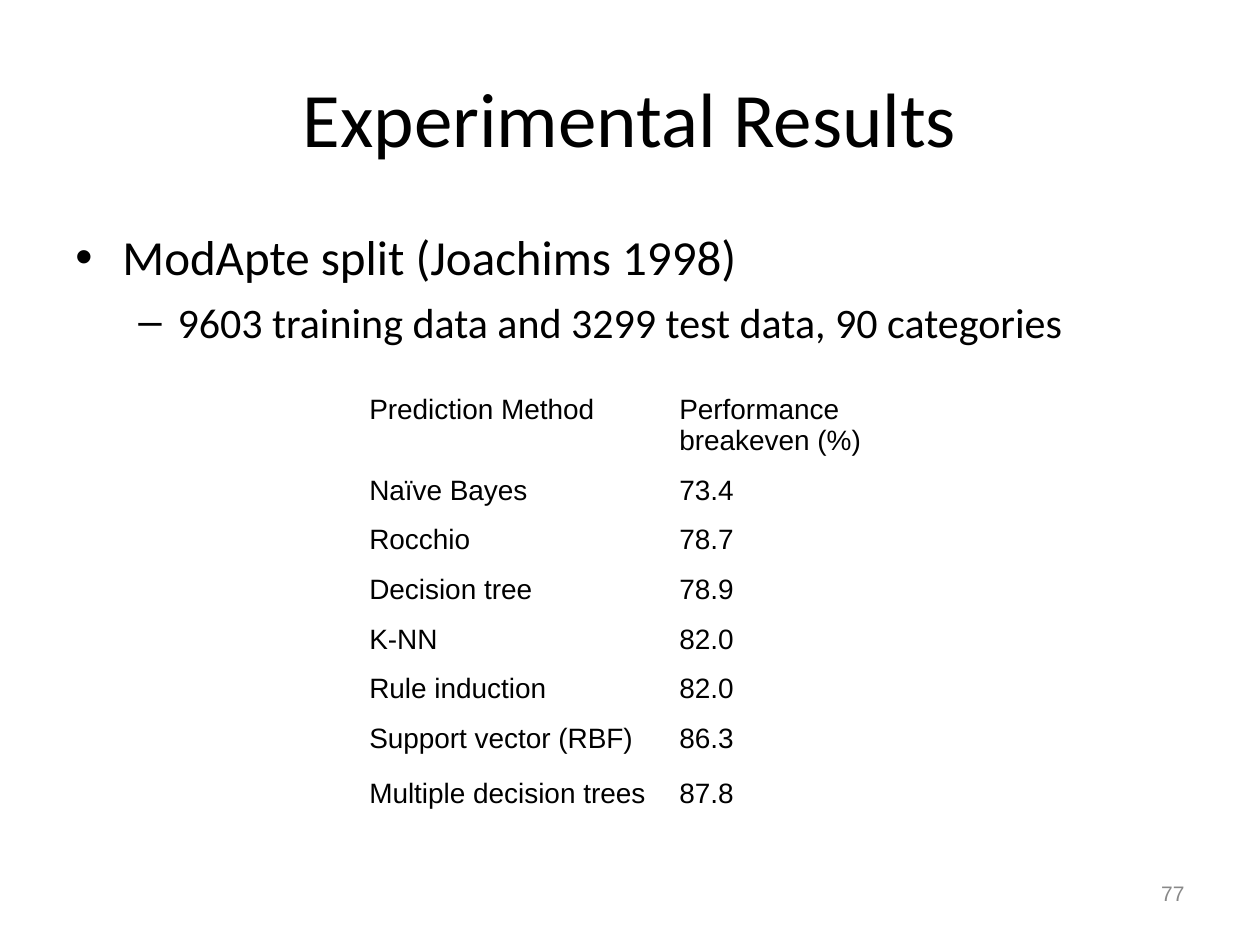
from lxml import etree
from pptx import Presentation
from pptx.dml.color import RGBColor
from pptx.enum import text
from pptx.oxml import ns
from pptx.util import Cm, Pt

BLACK = RGBColor(0x00, 0x00, 0x00)
GRAY = RGBColor(0x89, 0x89, 0x89)

TITLE_FONT = {"name": "Calibri", "size": Pt(44)}
BULLET_FONTS = [
    {"name": "Calibri", "size": Pt(28)},
    {"name": "Calibri", "size": Pt(24)},
]
TABLE_FONT = {"name": "Arial", "size": Pt(16)}
NUMBER_FONT = {"name": "Arial", "size": Pt(12)}

# Per level: bullet character, left margin, hanging indent, space before
BULLET_LEVELS = [
    ("•", Cm(0.95), Cm(-0.95), Pt(0)),
    ("–", Cm(2.06), Cm(-0.79), Pt(6)),
]
BULLETS = [
    (0, "ModApte split (Joachims 1998)"),
    (1, "9603 training data and 3299 test data, 90 categories"),
]
RESULTS = [
    ("Prediction Method", "Performance breakeven (%)"),
    ("Naïve Bayes", "73.4"),
    ("Rocchio", "78.7"),
    ("Decision tree", "78.9"),
    ("K-NN", "82.0"),
    ("Rule induction", "82.0"),
    ("Support vector (RBF)", "86.3"),
    ("Multiple decision trees", "87.8"),
]
ROW_HEIGHTS = [Cm(1.63)] + [Cm(1)] * 5 + [Cm(1.12), Cm(1.24)]


def set_attributes(target, values):
    for name, value in values.items():
        setattr(target, name, value)


def format_paragraph(paragraph, font, color=BLACK):
    set_attributes(paragraph.font, font)
    paragraph.font.color.rgb = color


def add_title(slide, box, wording):
    title = slide.shapes.title
    set_attributes(title, dict(zip(("left", "top", "width", "height"), box)))
    title.text_frame.text = wording
    title.text_frame.vertical_anchor = text.MSO_ANCHOR.MIDDLE
    paragraph = title.text_frame.paragraphs[0]
    paragraph.alignment = text.PP_ALIGN.CENTER
    format_paragraph(paragraph, TITLE_FONT)


def add_bullets(slide, box, bullets):
    frame = slide.shapes.add_textbox(*box).text_frame
    frame.word_wrap = True
    for index, (level, wording) in enumerate(bullets):
        paragraph = frame.add_paragraph() if index else frame.paragraphs[0]
        paragraph.text = wording
        paragraph.level = level
        character, margin, indent, space_before = BULLET_LEVELS[level]
        paragraph.space_before = space_before
        properties = paragraph._p.get_or_add_pPr()
        properties.set("marL", str(margin))
        properties.set("indent", str(indent))
        etree.SubElement(properties, ns.qn("a:buFont")).set("typeface", "Arial")
        etree.SubElement(properties, ns.qn("a:buChar")).set("char", character)
        format_paragraph(paragraph, BULLET_FONTS[level])


def add_results_table(slide, box, results):
    table = slide.shapes.add_table(len(results), len(results[0]), *box).table
    set_attributes(table, {"first_row": False, "horz_banding": False})
    for row, height, values in zip(table.rows, ROW_HEIGHTS, results):
        row.height = height
        for cell, value in zip(row.cells, values):
            cell.fill.background()
            cell.text = value
            format_paragraph(cell.text_frame.paragraphs[0], TABLE_FONT)


def add_slide_number(slide, box, number):
    frame = slide.shapes.add_textbox(*box).text_frame
    set_attributes(frame, {
        "text": number,
        "word_wrap": True,
        "vertical_anchor": text.MSO_ANCHOR.MIDDLE,
    })
    paragraph = frame.paragraphs[0]
    paragraph.alignment = text.PP_ALIGN.RIGHT
    format_paragraph(paragraph, NUMBER_FONT, GRAY)


def main():
    presentation = Presentation()
    presentation.slide_width, presentation.slide_height = Cm(25.4), Cm(19.05)
    slide = presentation.slides.add_slide(presentation.slide_layouts[5])
    add_title(slide, (Cm(1.27), Cm(0.76), Cm(22.86), Cm(3.18)), "Experimental Results")
    add_bullets(slide, (Cm(1.27), Cm(4.45), Cm(23.06), Cm(12.57)), BULLETS)
    add_results_table(slide, (Cm(7.19), Cm(7.82), Cm(12.5), sum(ROW_HEIGHTS)), RESULTS)
    add_slide_number(slide, (Cm(18.21), Cm(17.35), Cm(5.92), Cm(1.32)), "77")
    presentation.save("out.pptx")


if __name__ == "__main__":
    main()
